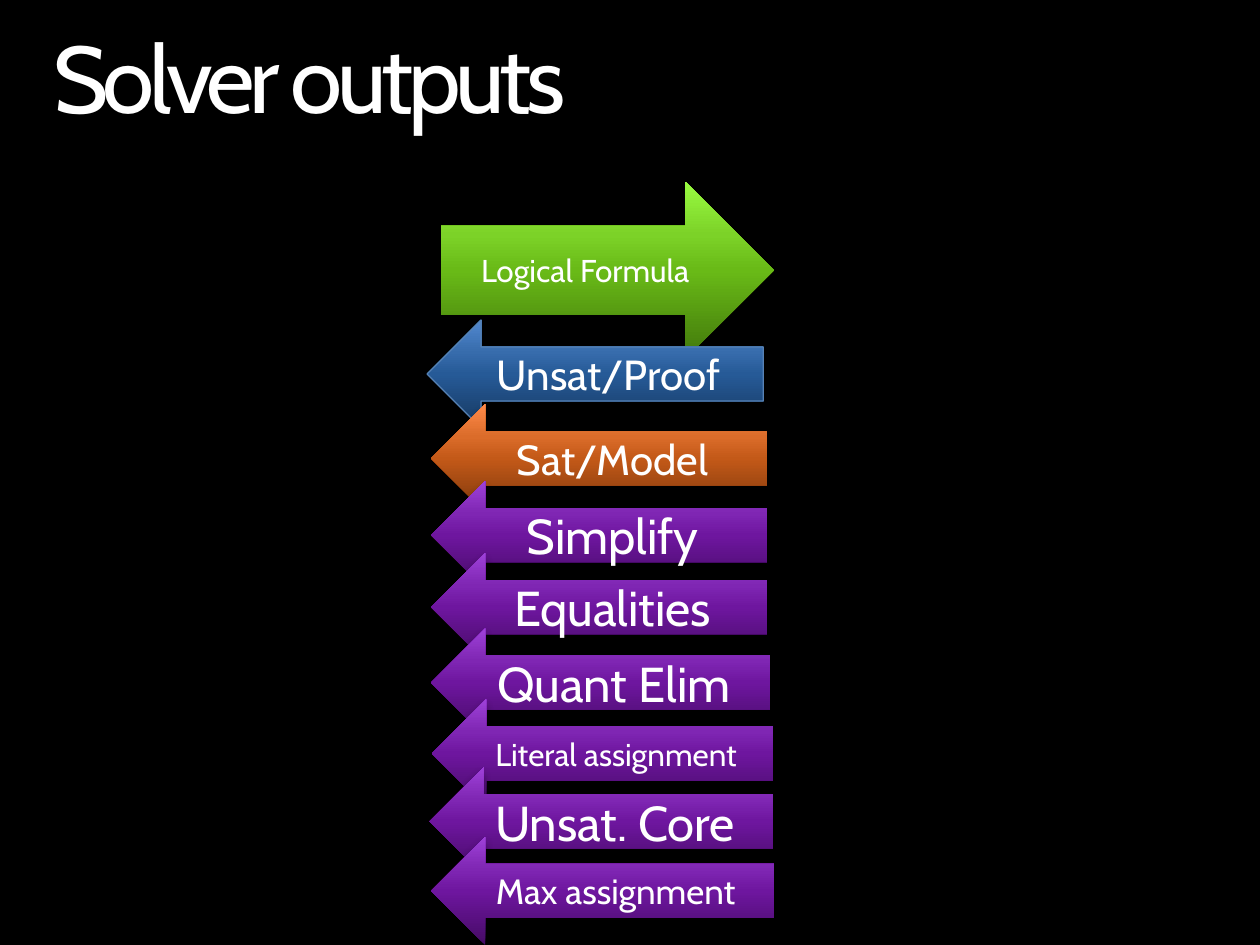
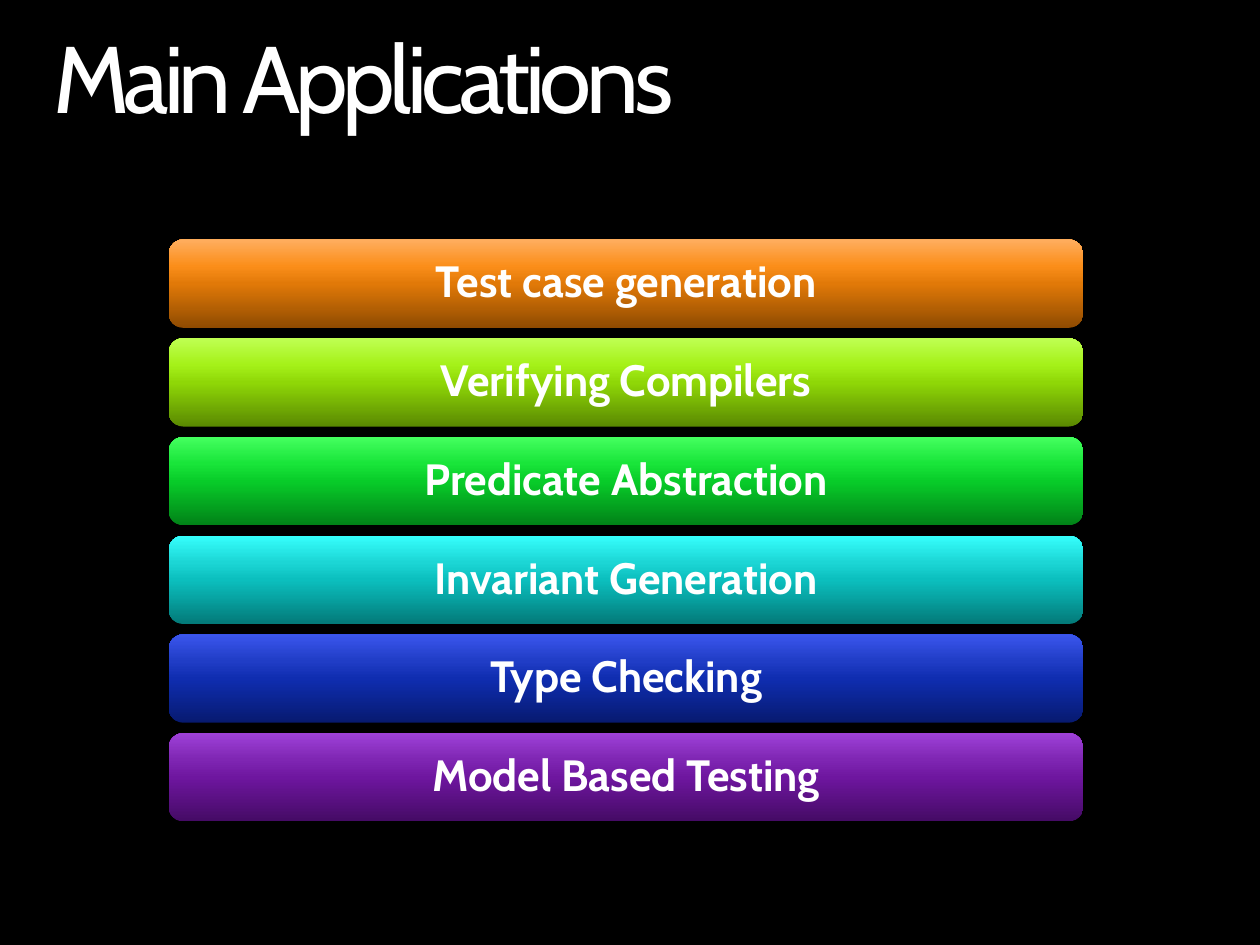
from pptx import Presentation
from pptx.dml.color import RGBColor
from pptx.enum.shapes import MSO_SHAPE as SHAPE
from pptx.enum.text import MSO_ANCHOR as ANCHOR, PP_ALIGN as ALIGN
from pptx.oxml import parse_xml
from pptx.oxml.ns import nsdecls
from pptx.util import Cm, Pt

FONT = "Cabin"
COLORS = {"background": "000000", "text": "FFFFFF", "shadow": "000000",
          "blue line": "5782B5"}
# Gradient stops run from the bottom edge to the top edge
STOPS = (0, 50, 70, 100)
GRADIENTS = {
    "leaf": ("41770B", "69BA17", "7CD228", "99FB41"),
    "steel": ("163860", "265A97", "376CAC", "5188D0"),
    "rust": ("7C370C", "C35918", "DB6C2A", "FF8A4A"),
    "purple": ("450B65", "6E169F", "7F26B3", "9E41D8"),
    "orange": ("8F4B01", "E17908", "FB8E1A", "FFAE5F"),
    "lime": ("5A8901", "8FD707", "A5F119", "BFFF52"),
    "green": ("018217", "08CC29", "19E53A", "44FF5F"),
    "cyan": ("037A79", "0BBFBE", "1CD6D5", "36FFFD"),
    "blue": ("071A70", "0F2DB0", "203DC6", "3B56ED"),
}
SOFT_SHADOW = (35, 4)    # opacity in percent, blur in points
STRONG_SHADOW = (45, 5)

# Label, gradient, text size, left, top, width
ANSWERS = [
    ("Unsat/Proof", "steel", 24, 8.61, 6.45, 6.78),
    ("Sat/Model", "rust", 24, 8.69, 8.15, 6.78),
    ("Simplify", "purple", 28, 8.69, 9.7, 6.78),
    ("Equalities", "purple", 28, 8.69, 11.15, 6.78),
    ("Quant Elim", "purple", 28, 8.69, 12.67, 6.83),
    ("Literal assignment", "purple", 18, 8.71, 14.1, 6.88),
    ("Unsat. Core", "purple", 28, 8.66, 15.47, 6.93),
    ("Max assignment", "purple", 20, 8.69, 16.87, 6.91),
]
ANSWER_HEIGHT = 2.18

APPLICATIONS = [
    ("Test case generation", "orange"),
    ("Verifying Compilers", "lime"),
    ("Predicate Abstraction", "green"),
    ("Invariant Generation", "cyan"),
    ("Type Checking", "blue"),
    ("Model Based Testing", "purple"),
]
BAR_LEFT, BAR_TOP, BAR_WIDTH, BAR_HEIGHT = 3.4, 4.83, 18.44, 1.78
BAR_PITCH = 1.99
CAPTION_INSET = 0.09


def rgb(name):
    return RGBColor.from_string(COLORS[name])


def write(tf, text, size, bold=False, align=ALIGN.CENTER):
    tf.word_wrap = True
    p = tf.paragraphs[0]
    p.alignment = align
    r = p.add_run()
    r.text = text
    r.font.name = FONT
    r.font.size = Pt(size)
    r.font.bold = bold
    r.font.color.rgb = rgb("text")
    return p, r


def set_margins(tf, margin):
    tf.margin_left = tf.margin_right = margin
    tf.margin_top = tf.margin_bottom = margin


def add_slide(prs, title):
    s = prs.slides.add_slide(prs.slide_layouts[5])
    sp = s.shapes.title
    sp.left, sp.top, sp.width, sp.height = Cm(1.07), Cm(0.64), Cm(23.29), Cm(2.08)
    tf = sp.text_frame
    set_margins(tf, 0)
    tf.vertical_anchor = ANCHOR.TOP
    p, r = write(tf, title, 54, align=ALIGN.LEFT)
    p.line_spacing = 0.9
    r.font._element.set("spc", "-300")
    return s


def add_glossy_shape(shapes, kind, box, gradient, shadow=None):
    sp = shapes.add_shape(kind, *map(Cm, box))
    sp.line.fill.background()
    sp.fill.gradient()
    sp.fill.gradient_angle = 90
    spPr = sp._element.spPr
    stop_list = spPr.xpath(".//a:gsLst")[0]
    for stop in list(stop_list):
        stop_list.remove(stop)
    for position, color in zip(STOPS, GRADIENTS[gradient]):
        stop_list.append(parse_xml(
            f'<a:gs {nsdecls("a")} pos="{position * 1000}">'
            f'<a:srgbClr val="{color}"/></a:gs>'))
    sp.shadow.inherit = False
    if shadow:
        opacity, blur = shadow
        spPr.xpath("./a:effectLst")[0].append(parse_xml(
            f'<a:outerShdw {nsdecls("a")} blurRad="{Pt(blur)}" dist="{Pt(3)}" '
            f'dir="5400000" rotWithShape="0"><a:srgbClr val="{COLORS["shadow"]}">'
            f'<a:alpha val="{opacity * 1000}"/></a:srgbClr></a:outerShdw>'))
    return sp


def add_arrow(s, label, size, box, gradient, shadow=None, to_left=False):
    sp = add_glossy_shape(s.shapes, SHAPE.RIGHT_ARROW, box, gradient, shadow)
    if to_left:
        sp._element.spPr.xpath("./a:xfrm")[0].set("flipH", "1")
    sp.text_frame.vertical_anchor = ANCHOR.MIDDLE
    write(sp.text_frame, label, size)
    return sp


def add_bar(shapes, label, gradient, top):
    add_glossy_shape(shapes, SHAPE.ROUNDED_RECTANGLE,
                     (BAR_LEFT, top, BAR_WIDTH, BAR_HEIGHT), gradient, SOFT_SHADOW)
    caption = shapes.add_textbox(
        Cm(BAR_LEFT + CAPTION_INSET), Cm(top + CAPTION_INSET),
        Cm(BAR_WIDTH - 2 * CAPTION_INSET), Cm(BAR_HEIGHT - 2 * CAPTION_INSET))
    tf = caption.text_frame
    set_margins(tf, Cm(0.25))
    tf.vertical_anchor = ANCHOR.MIDDLE
    p, _ = write(tf, label, 25, bold=True)
    p.line_spacing = 0.9


def build_outputs(prs):
    s = add_slide(prs, "Solver outputs")
    # Input to the solver
    add_arrow(s, "Logical Formula", 18, (8.89, 3.66, 6.71, 3.58), "leaf")
    # Answers from the solver
    for label, gradient, size, left, top, width in ANSWERS:
        is_proof = gradient == "steel"
        sp = add_arrow(s, label, size, (left, top, width, ANSWER_HEIGHT), gradient,
                       SOFT_SHADOW if is_proof else STRONG_SHADOW, to_left=True)
        if is_proof:
            sp.line.color.rgb = rgb("blue line")
            sp.line.width = Pt(0.75)


def build_applications(prs):
    s = add_slide(prs, "Main Applications")
    group = s.shapes.add_group_shape()
    for i, (label, gradient) in enumerate(APPLICATIONS):
        add_bar(group.shapes, label, gradient, BAR_TOP + i * BAR_PITCH)


def main():
    prs = Presentation()
    prs.slide_width, prs.slide_height = Cm(25.4), Cm(19.05)
    # Shared black background
    fill = prs.slide_master.background.fill
    fill.solid()
    fill.fore_color.rgb = rgb("background")
    build_outputs(prs)
    build_applications(prs)
    prs.save("out.pptx")


if __name__ == "__main__":
    main()
